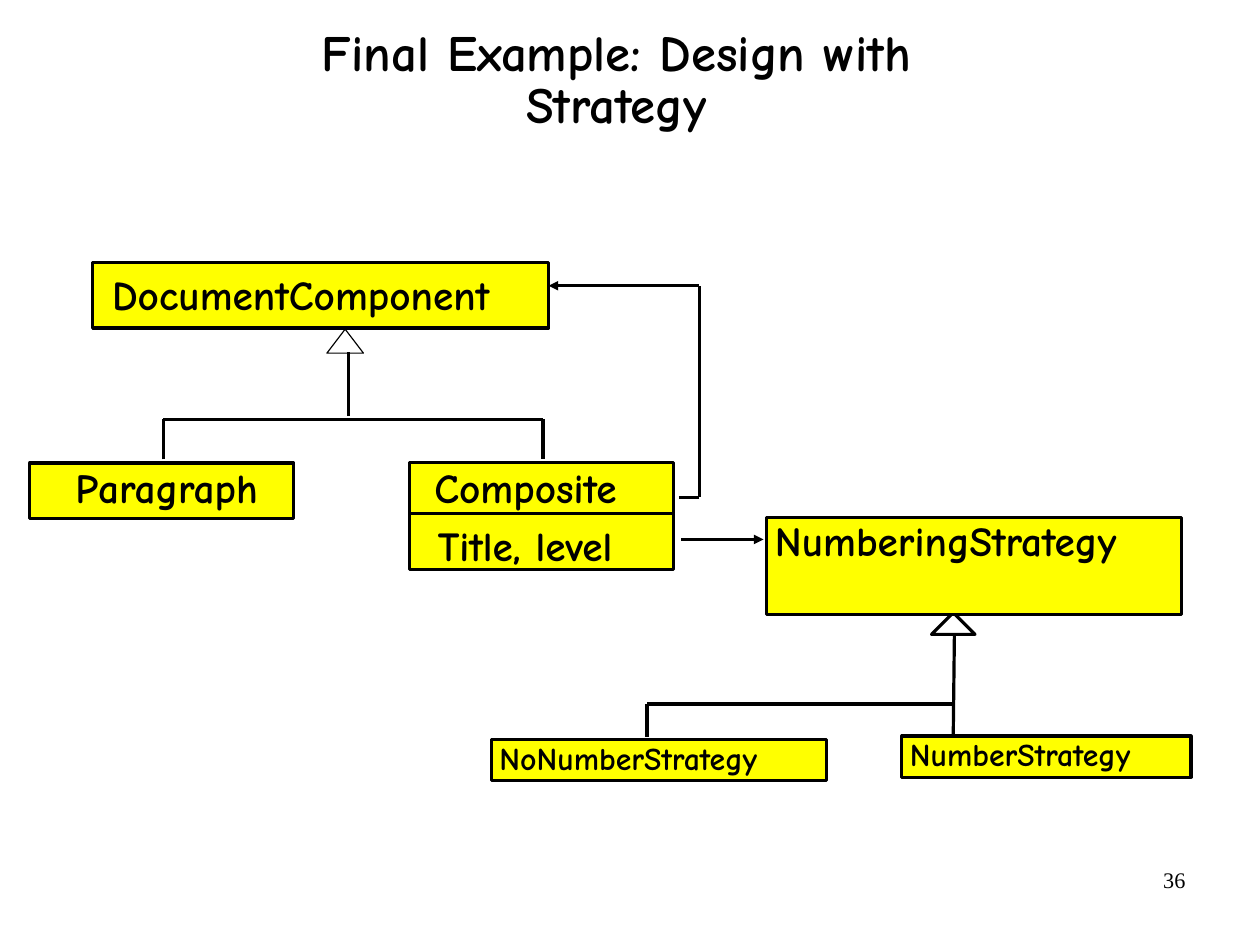
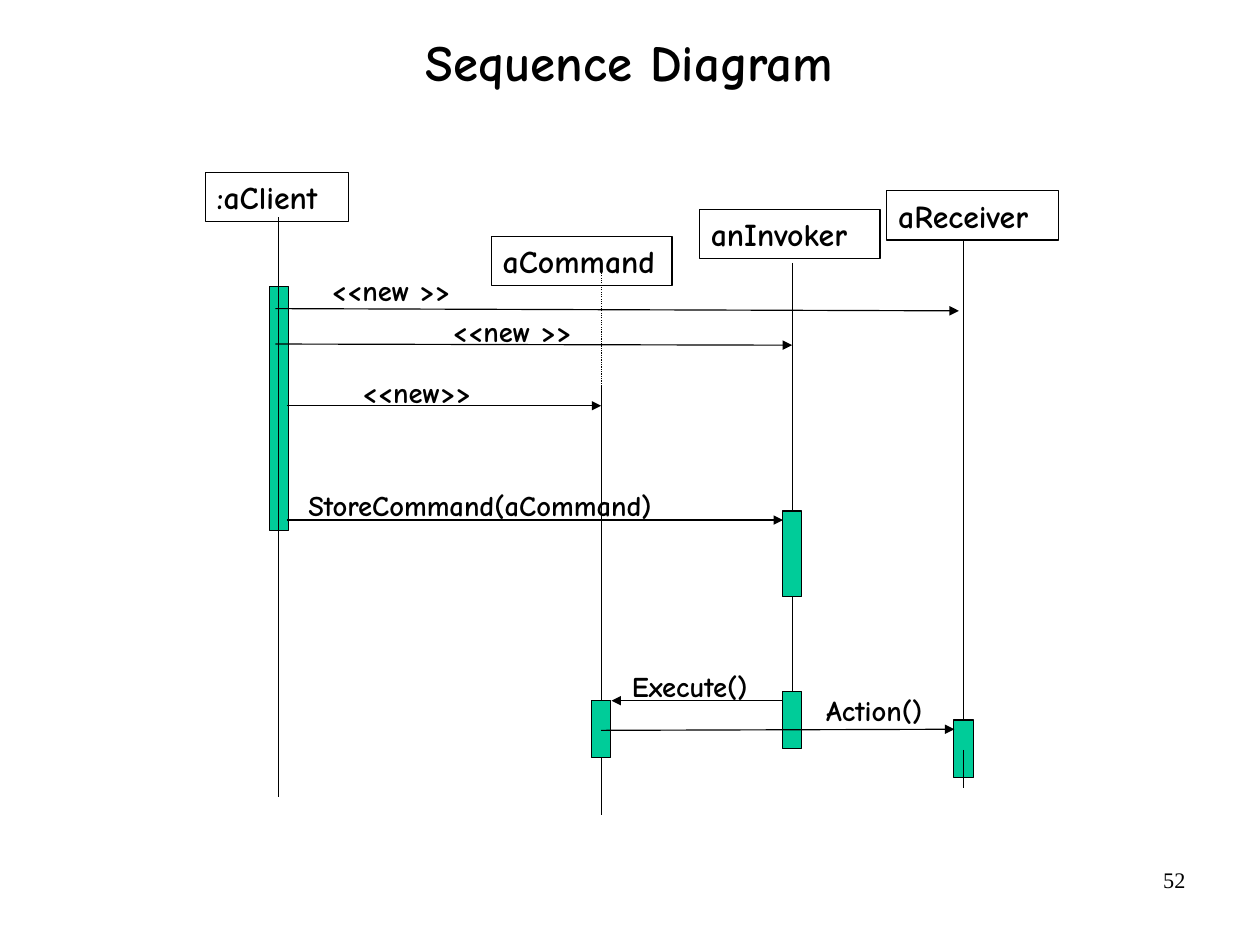
from lxml import etree
from pptx import Presentation
from pptx.dml.color import RGBColor
from pptx.enum.dml import MSO_LINE
from pptx.enum.shapes import MSO_CONNECTOR, MSO_SHAPE
from pptx.enum.text import MSO_ANCHOR, MSO_AUTO_SIZE, PP_ALIGN
from pptx.oxml.ns import qn
from pptx.util import Cm, Inches, Pt

RECT, TRIANGLE = MSO_SHAPE.RECTANGLE, MSO_SHAPE.ISOSCELES_TRIANGLE
STRAIGHT, DOTTED = MSO_CONNECTOR.STRAIGHT, MSO_LINE.ROUND_DOT
LEFT, CENTER, RIGHT = PP_ALIGN.LEFT, PP_ALIGN.CENTER, PP_ALIGN.RIGHT
TOP, MIDDLE = MSO_ANCHOR.TOP, MSO_ANCHOR.MIDDLE

# Shared style
COLORS = {"ink": "000000", "class": "FFFF00", "activation": "00CC99"}
DIAGRAM_FONT, NUMBER_FONT = "Comic Neue", "Times New Roman"
TITLE_SIZE, NUMBER_SIZE = 32, 14
THICK, THIN = 2, 0.75
BAR_WIDTH = 0.17
TITLE_ONLY = 5

# Class diagram: name, box, font size, (left, top) inset, line spacing
STRATEGY = {"title": "Final Example: Design with Strategy", "number": "36",
            "title_box": (1.95, 0.42, 6.89, 0.59), "title_spacing": 0.85}
CLASSES = [
    ("DocumentComponent", (0.81, 2.3, 3.99, 0.57), 26, (0.17, 0.12), 0.85),
    ("Paragraph", (0.26, 4.05, 2.31, 0.49), 26, (0.4, 0.06), 0.85),
    ("Composite", (3.58, 4.05, 2.31, 0.44), 26, (0.22, 0.06), 0.85),
    ("Title, level", (3.58, 4.49, 2.31, 0.49), 26, (0.25, 0.13), 0.85),
    ("NumberingStrategy", (6.71, 4.53, 3.63, 0.85), 26, (0.07, 0.03), 0.9),
    ("NumberStrategy", (7.89, 6.44, 2.53, 0.36), 20, (0.07, 0.03), 0.9),
    ("NoNumberStrategy", (4.3, 6.47, 2.93, 0.36), 20, (0.07, 0.03), 0.9),
]
INHERITANCE_MARKS = [((2.86, 2.88, 0.32, 0.21), THIN),
                     ((8.15, 5.36, 0.38, 0.19), THICK)]
INHERITANCE_PATHS = [
    [(3.05, 3.08), (3.05, 3.64)],
    [(1.43, 4.02), (1.43, 3.67), (4.75, 3.67), (4.75, 4.02)],
    [(8.35, 5.55), (8.34, 6.44)],
    [(8.35, 6.16), (5.66, 6.16), (5.66, 6.45)],
]
REFERENCE_PATHS = [
    [(5.94, 4.35), (6.12, 4.35), (6.12, 2.5), (4.8, 2.5)],
    [(5.96, 4.72), (6.68, 4.72)],
]

# Sequence diagram
SEQUENCE = {"title": "Sequence Diagram", "number": "52",
            "title_box": (0.81, -0.11, 9.4, 1.37), "title_spacing": 0.88}
# Name, head box, lifeline x, lifeline spans, activation spans
PARTICIPANTS = [
    (":aClient", (1.8, 1.51, 1.25, 0.43), 2.44, [(1.9, 6.97)], [(2.51, 4.64)]),
    ("aCommand", (4.3, 2.07, 1.58, 0.43), 5.26,
     [(3.38, 6.13), (6.63, 7.13)], [(6.13, 6.63)]),
    ("anInvoker", (6.12, 1.83, 1.58, 0.43), 6.93,
     [(2.3, 4.47), (5.22, 6.05)], [(4.47, 5.22), (6.05, 6.55)]),
    ("aReceiver", (7.76, 1.67, 1.5, 0.43), 8.43,
     [(2.1, 6.3), (6.56, 6.89)], [(6.3, 6.8)]),
]
NOT_YET_CREATED = [(5.26, 3.38), (5.26, 2.3)]
# Label, label box, arrow start, arrow end
MESSAGES = [
    ("<<new >>", (2.8, 2.34, 3.25, 0.4), (2.41, 2.7), (8.39, 2.72)),
    ("<<new >>", (3.86, 2.7, 3.32, 0.4), (2.41, 3.01), (6.93, 3.02)),
    ("<<new>>", (3.07, 3.23, 3.25, 0.4), (2.51, 3.55), (5.26, 3.55)),
    ("StoreCommand(aCommand)", (2.6, 4.22, 3.5, 0.4), (2.51, 4.55), (6.85, 4.55)),
    ("Execute()", (5.43, 5.8, 1.33, 0.4), (6.85, 6.13), (5.35, 6.13)),
    ("Action()", (7.13, 6.01, 2.67, 0.4), (5.26, 6.39), (8.35, 6.38)),
]


def color(name):
    return RGBColor.from_string(COLORS[name])


def inches(values):
    return [Inches(value) for value in values]


def write(shape, text, size, font=DIAGRAM_FONT, bold=True, align=LEFT,
          anchor=TOP, inset=(0.1, 0.05), spacing=1.0):
    frame = shape.text_frame
    frame.text = text
    frame.word_wrap = True
    frame.auto_size = MSO_AUTO_SIZE.NONE
    frame.vertical_anchor = anchor
    frame.margin_left, frame.margin_top = inches(inset)
    frame.margin_right, frame.margin_bottom = Inches(min(inset[0], 0.1)), 0
    paragraph = frame.paragraphs[0]
    paragraph.alignment = align
    paragraph.line_spacing = spacing
    span = paragraph.runs[0]
    span.font.name, span.font.size, span.font.bold = font, Pt(size), bold
    span.font.color.rgb = color("ink")


def add_outline(page, kind, box, width, fill=None):
    shape = page.shapes.add_shape(kind, *inches(box))
    shape.shadow.inherit = False
    if fill:
        shape.fill.solid()
        shape.fill.fore_color.rgb = color(fill)
    else:
        shape.fill.background()
    shape.line.color.rgb = color("ink")
    shape.line.width = Pt(width)
    return shape


def add_label(page, box, text, size, **style):
    write(page.shapes.add_textbox(*inches(box)), text, size, **style)


def draw_path(page, points, width, arrow=False, dash=None):
    """Join the points with straight connectors; an arrowhead ends the last."""
    for start, end in zip(points, points[1:]):
        connector = page.shapes.add_connector(STRAIGHT, *inches(start + end))
        connector.line.color.rgb = color("ink")
        connector.line.width = Pt(width)
        if dash:
            connector.line.dash_style = dash
        properties = connector._element.spPr
        if arrow and end == points[-1]:
            outline = properties.find(qn("a:ln"))
            etree.SubElement(outline, qn("a:tailEnd"), type="triangle")
        etree.SubElement(properties, qn("a:effectLst"))


def add_page(deck, content):
    page = deck.slides.add_slide(deck.slide_layouts[TITLE_ONLY])
    title = page.shapes.title
    title.left, title.top, title.width, title.height = inches(content["title_box"])
    write(title, content["title"], TITLE_SIZE, align=CENTER, anchor=MIDDLE,
          inset=(0, 0), spacing=content["title_spacing"])
    add_label(page, (7.9, 7.53, 2.57, 0.57), content["number"], NUMBER_SIZE,
              font=NUMBER_FONT, bold=False, align=RIGHT)
    return page


def build_class_diagram(deck):
    page = add_page(deck, STRATEGY)
    for box, width in INHERITANCE_MARKS:
        add_outline(page, TRIANGLE, box, width)
    for name, box, size, inset, spacing in CLASSES:
        shape = add_outline(page, RECT, box, THICK, "class")
        write(shape, name, size, inset=inset, spacing=spacing)
    for points in INHERITANCE_PATHS:
        draw_path(page, points, THICK)
    for points in REFERENCE_PATHS:
        draw_path(page, points, THICK, arrow=True)


def build_sequence_diagram(deck):
    page = add_page(deck, SEQUENCE)
    for name, head, axis, lifelines, activations in PARTICIPANTS:
        write(add_outline(page, RECT, head, THIN), name, 20)
        for top, bottom in activations:
            bar = (axis - BAR_WIDTH / 2, top, BAR_WIDTH, bottom - top)
            add_outline(page, RECT, bar, THIN, "activation")
        for top, bottom in lifelines:
            draw_path(page, [(axis, top), (axis, bottom)], THIN)
    draw_path(page, NOT_YET_CREATED, THIN, dash=DOTTED)
    for label, box, start, end in MESSAGES:
        add_label(page, box, label, 18)
        draw_path(page, [start, end], THIN, arrow=True)


def main():
    deck = Presentation()
    # A metric page, 28 by 21 cm
    deck.slide_width = Cm(28)
    deck.slide_height = Cm(21)
    build_class_diagram(deck)
    build_sequence_diagram(deck)
    deck.save("out.pptx")


if __name__ == "__main__":
    main()
